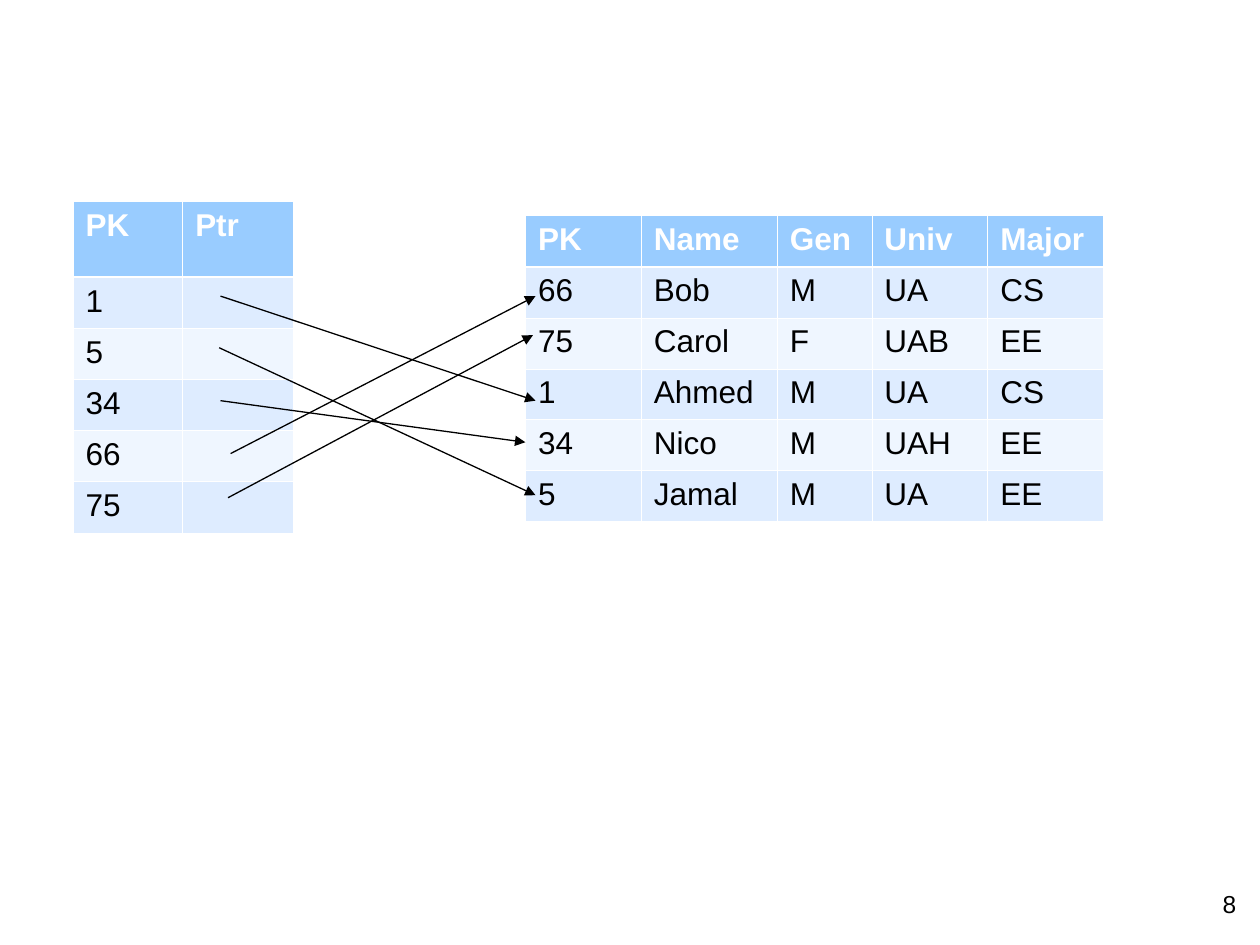
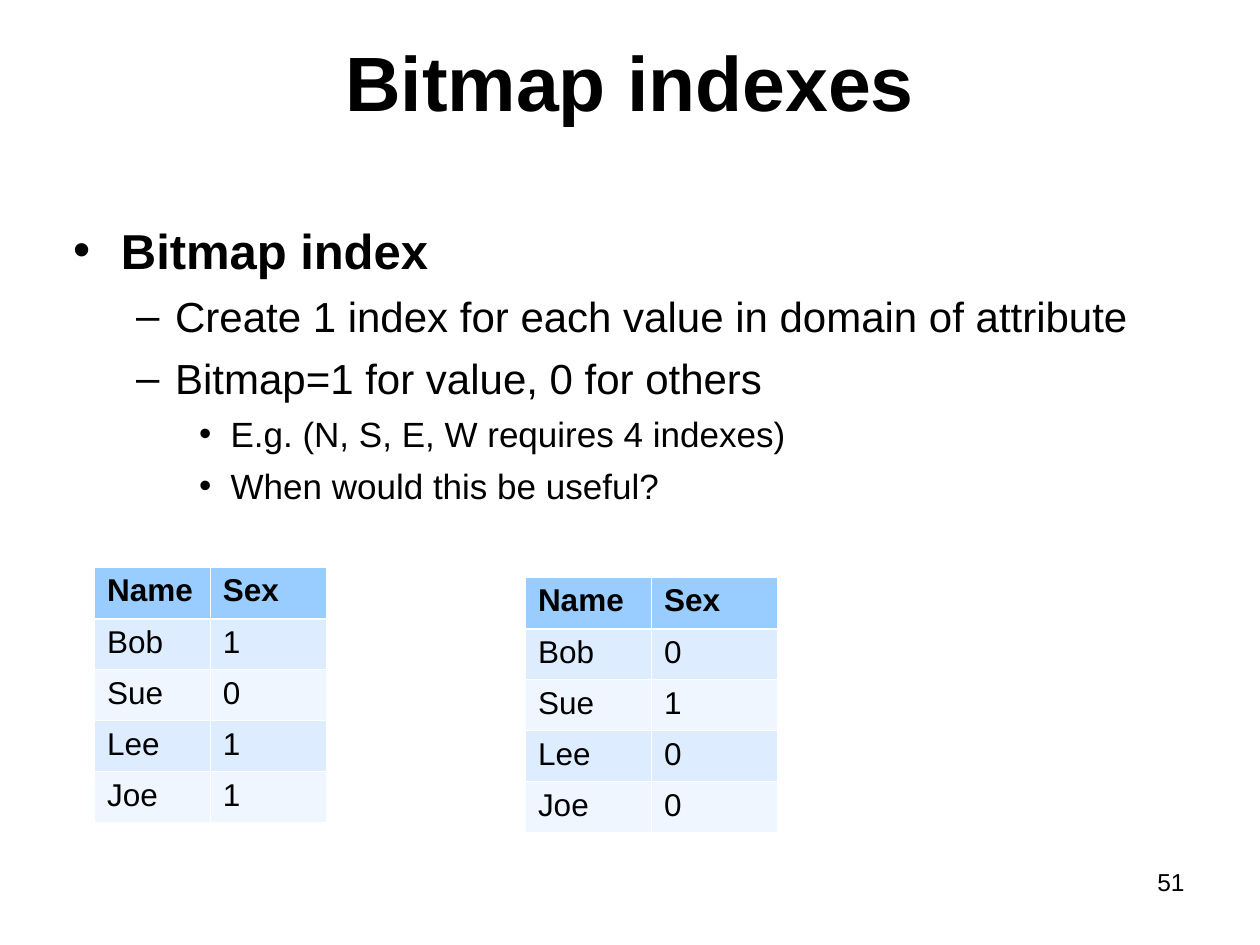
from dataclasses import dataclass
from typing import NamedTuple

from lxml.etree import SubElement
from pptx import Presentation
from pptx.dml.color import RGBColor
from pptx.enum.shapes import MSO_CONNECTOR
from pptx.enum.text import MSO_ANCHOR as Anchor, MSO_AUTO_SIZE as AutoSize, PP_ALIGN as Align
from pptx.oxml.ns import qn
from pptx.util import Inches, Pt

FONT = "Arial"
COLORS = {
    "text": "000000",
    "white": "FFFFFF",
    "header": "99CCFF",
    "odd_row": "DEECFF",
    "even_row": "EFF6FF",
}
THIN, THICK = 0.45, 1.47  # cell border widths in points


class Arrow(NamedTuple):
    start: tuple[float, float]
    end: tuple[float, float]


class Bullet(NamedTuple):
    text: str
    level: int


class BulletStyle(NamedTuple):
    mark: str
    size: int
    indent: float
    hanging: float
    space_before: float
    bold: bool


@dataclass
class DataTable:
    left: float
    top: float
    height: float
    columns: list[float]
    rows: list[list[str]]
    header_height: float = 0.41
    header_color: str = "text"


INDEX_TABLE = DataTable(
    0.58, 1.6, 2.63, [0.87, 0.88],
    [["PK", "Ptr"]] + [[key, ""] for key in ("1", "5", "34", "66", "75")],
    header_height=0.6, header_color="white",
)
STUDENT_TABLE = DataTable(
    4.17, 1.71, 2.43, [0.92, 1.08, 0.75, 0.92, 0.92],
    [
        ["PK", "Name", "Gen", "Univ", "Major"],
        ["66", "Bob", "M", "UA", "CS"],
        ["75", "Carol", "F", "UAB", "EE"],
        ["1", "Ahmed", "M", "UA", "CS"],
        ["34", "Nico", "M", "UAH", "EE"],
        ["5", "Jamal", "M", "UA", "EE"],
    ],
    header_color="white",
)
POINTERS = [
    Arrow((1.75, 2.35), (4.25, 3.18)),
    Arrow((1.74, 2.76), (4.25, 3.93)),
    Arrow((1.83, 3.6), (4.25, 2.35)),
    Arrow((1.75, 3.18), (4.17, 3.51)),
    Arrow((1.81, 3.95), (4.23, 2.66)),
]

BULLET_STYLES = [
    BulletStyle("•", 28, 0.38, 0.38, 7, True),
    BulletStyle("–", 24, 0.81, 0.31, 6.5, False),
    BulletStyle("•", 20, 1.25, 0.25, 5.5, False),
]
BULLETS = [
    Bullet("Bitmap index", 0),
    Bullet("Create 1 index for each value in domain of attribute", 1),
    Bullet("Bitmap=1 for value, 0 for others", 1),
    Bullet("E.g. (N, S, E, W requires 4 indexes)", 2),
    Bullet("When would this be useful?", 2),
]
NAMES = ["Bob", "Sue", "Lee", "Joe"]


def bitmap_table(left: float, top: float, column: float, bits: str) -> DataTable:
    rows = [["Name", "Sex"]] + [[name, bit] for name, bit in zip(NAMES, bits)]
    return DataTable(left, top, 2.03, [column, column], rows)


BITMAP_TABLES = [bitmap_table(0.75, 4.5, 0.92, "1011"), bitmap_table(4.17, 4.58, 1, "0100")]


def rgb(name: str) -> RGBColor:
    return RGBColor.from_string(COLORS[name])


def add_run(paragraph, text: str, size: float, bold: bool = False, color: str = "text") -> None:
    run = paragraph.add_run()
    run.text = text
    run.font.name = FONT
    run.font.size = Pt(size)
    run.font.bold = bold
    run.font.color.rgb = rgb(color)


def place(shape, left: float, top: float, width: float, height: float) -> None:
    shape.left, shape.top = Inches(left), Inches(top)
    shape.width, shape.height = Inches(width), Inches(height)


def add_page_number(slide, number: int, left: float, top: float) -> None:
    box = slide.shapes.add_textbox(Inches(left), Inches(top), Inches(2.33), Inches(0.52))
    box.text_frame.word_wrap = True
    paragraph = box.text_frame.paragraphs[0]
    paragraph.alignment = Align.RIGHT
    add_run(paragraph, str(number), 14)


def set_borders(cell, top: float, bottom: float) -> None:
    properties = cell._tc.get_or_add_tcPr()
    for side, width in {"L": THIN, "R": THIN, "T": top, "B": bottom}.items():
        line = SubElement(properties, qn(f"a:ln{side}"), w=str(Pt(width)))
        fill = SubElement(line, qn("a:solidFill"))
        SubElement(fill, qn("a:srgbClr"), val=COLORS["white"])


def add_data_table(slide, data: DataTable) -> None:
    frame = slide.shapes.add_table(
        len(data.rows), len(data.columns), Inches(data.left), Inches(data.top),
        Inches(sum(data.columns)), Inches(data.height),
    )
    table = frame.table
    table.first_row = table.horz_banding = False
    for column, width in zip(table.columns, data.columns):
        column.width = Inches(width)
    row_height = (data.height - data.header_height) / (len(data.rows) - 1)
    for index, values in enumerate(data.rows):
        header = index == 0
        table.rows[index].height = Inches(data.header_height if header else row_height)
        band = "header" if header else "odd_row" if index % 2 else "even_row"
        for cell, value in zip(table.rows[index].cells, values):
            set_borders(cell, THICK if index == 1 else THIN, THICK if header else THIN)
            cell.fill.solid()
            cell.fill.fore_color.rgb = rgb(band)
            if value:
                color = data.header_color if header else "text"
                add_run(cell.text_frame.paragraphs[0], value, 18, header, color)


def add_arrow(slide, arrow: Arrow) -> None:
    connector = slide.shapes.add_connector(
        MSO_CONNECTOR.STRAIGHT, *map(Inches, arrow.start + arrow.end)
    )
    connector.line.color.rgb = rgb("text")
    connector.line.width = Pt(0.75)
    SubElement(connector.line._get_or_add_ln(), qn("a:tailEnd"), type="triangle")
    SubElement(connector._element.spPr, qn("a:effectLst"))


def fill_title(slide, text: str) -> None:
    title = slide.shapes.title
    place(title, 0.5, 0.27, 9, 1.25)
    frame = title.text_frame
    frame.auto_size = AutoSize.NONE
    frame.vertical_anchor = Anchor.TOP
    frame.margin_top = 0
    paragraph = frame.paragraphs[0]
    paragraph.alignment = Align.CENTER
    add_run(paragraph, text, 44, bold=True)


def fill_bullets(slide, bullets: list[Bullet]) -> None:
    body = slide.placeholders[1]
    place(body, 0.5, 1.75, 9, 4.95)
    frame = body.text_frame
    frame.auto_size = AutoSize.NONE
    frame.margin_left = frame.margin_right = Inches(0.08)
    frame.margin_top = 0
    for index, bullet in enumerate(bullets):
        paragraph = frame.add_paragraph() if index else frame.paragraphs[0]
        style = BULLET_STYLES[bullet.level]
        paragraph.level = bullet.level
        paragraph.space_before = Pt(style.space_before)
        properties = paragraph._p.get_or_add_pPr()
        properties.set("marL", str(Inches(style.indent)))
        properties.set("indent", str(-Inches(style.hanging)))
        color = SubElement(properties, qn("a:buClr"))
        SubElement(color, qn("a:srgbClr"), val=COLORS["text"])
        SubElement(properties, qn("a:buFont"), typeface=FONT)
        SubElement(properties, qn("a:buChar"), char=style.mark)
        add_run(paragraph, bullet.text, style.size, style.bold)


def build_pointer_slide(presentation) -> None:
    slide = presentation.slides.add_slide(presentation.slide_layouts.get_by_name("Blank"))
    add_page_number(slide, 8, 7.58, 7.01)
    for data in (INDEX_TABLE, STUDENT_TABLE):
        add_data_table(slide, data)
    for arrow in POINTERS:
        add_arrow(slide, arrow)


def build_bitmap_slide(presentation) -> None:
    layout = presentation.slide_layouts.get_by_name("Title and Content")
    slide = presentation.slides.add_slide(layout)
    fill_title(slide, "Bitmap indexes")
    fill_bullets(slide, BULLETS)
    add_page_number(slide, 51, 7.17, 6.83)
    for data in BITMAP_TABLES:
        add_data_table(slide, data)


def main() -> None:
    presentation = Presentation()
    presentation.slide_width, presentation.slide_height = Inches(10), Inches(7.5)
    build_pointer_slide(presentation)
    build_bitmap_slide(presentation)
    presentation.save("out.pptx")


if __name__ == "__main__":
    main()
